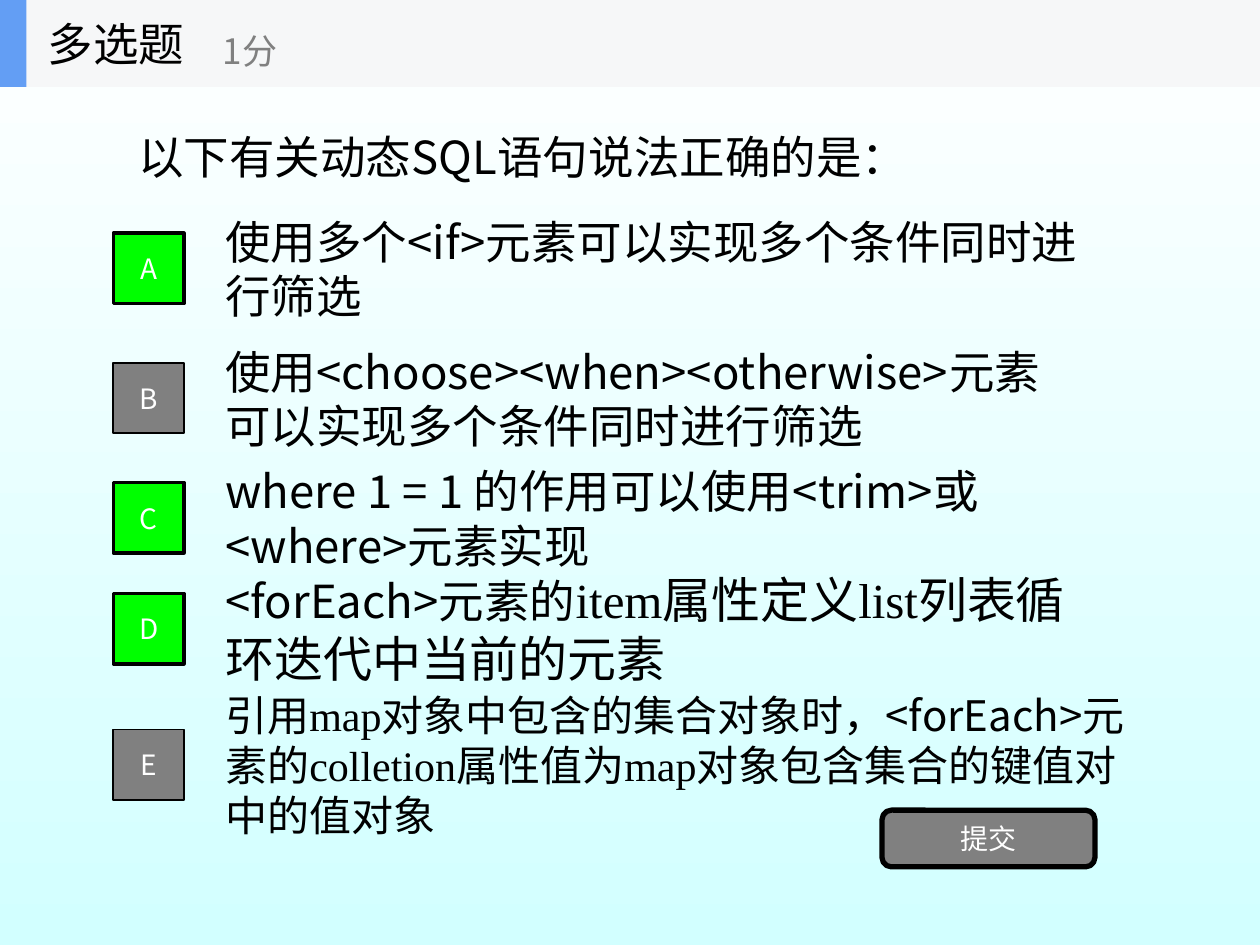
from pptx import Presentation
from pptx.dml.color import RGBColor
from pptx.enum.shapes import MSO_SHAPE
from pptx.enum.text import MSO_ANCHOR, PP_ALIGN
from pptx.oxml.ns import qn
from pptx.util import Inches, Pt
from lxml import etree

RECT = MSO_SHAPE.RECTANGLE
ROUND = MSO_SHAPE.ROUNDED_RECTANGLE
MIDDLE = MSO_ANCHOR.MIDDLE
LEFT, CENTER = PP_ALIGN.LEFT, PP_ALIGN.CENTER

BLACK = RGBColor(0x00, 0x00, 0x00)
WHITE = RGBColor(0xFF, 0xFF, 0xFF)
GRAY = RGBColor(0x80, 0x80, 0x80)
GREEN = RGBColor(0x00, 0xFF, 0x00)
CYAN = RGBColor(0xD2, 0xFF, 0xFF)
PALE = RGBColor(0xF6, 0xF7, 0xF8)
BLUE = RGBColor(0x63, 0x9E, 0xF4)

SANS = "Noto Sans CJK SC"
SERIF = "Times New Roman"

TITLE = "多选题"
SCORE = "1分"
STEM = "以下有关动态SQL语句说法正确的是："
SUBMIT = "提交"
OPTIONS = [
    ("A", True, 1.78, 7, [("使用多个<if>元素可以实现多个条件同时进行筛选", 26, SANS)]),
    ("B", False, 2.81, 7, [("使用<choose><when><otherwise>元素可以实现多个条件同时进行筛选", 26, SANS)]),
    ("C", True, 3.76, 7, [("where 1 = 1 的作用可以使用<trim>或<where>元素实现", 26, SANS)]),
    ("D", True, 4.64, 7, [("<forEach>元素的", 26, SANS),
                          ("item属性定义list列表循环迭代中当前的元素", 28, SERIF)]),
    ("E", False, 5.72, 7.57, [("引用map对象中包含的集合对象时，", 24, SERIF),
                              ("<forEach>元素的", 24, SANS),
                              ("colletion属性值为map对象包含集合的键值对中的值对象", 24, SERIF)]),
]
ROW, MARK = 0.7, 0.56
HEAD = 0.69


def write(shape, runs, color, align=LEFT):
    frame = shape.text_frame
    frame.word_wrap = True
    frame.vertical_anchor = MIDDLE
    para = frame.paragraphs[0]
    para.alignment = align
    for text, size, face in runs:
        run = para.add_run()
        run.text = text
        run.font.size = Pt(size)
        run.font.name = face
        run.font.color.rgb = color
        east = etree.SubElement(run.font._element, qn("a:ea"))
        east.set("typeface", SANS)


def label(slide, box, runs, color=BLACK):
    write(slide.shapes.add_textbox(*map(Inches, box)), runs, color)


def block(slide, kind, box, fill, line=0, text=""):
    shape = slide.shapes.add_shape(kind, *map(Inches, box))
    shape.shadow.inherit = False
    shape.fill.solid()
    shape.fill.fore_color.rgb = fill
    if line:
        shape.line.color.rgb = BLACK
        shape.line.width = Pt(line)
    else:
        shape.line.fill.background()
    if text:
        write(shape, [(text, 16, SANS)], WHITE, CENTER)


def main():
    deck = Presentation()
    deck.slide_width, deck.slide_height = Inches(10), Inches(7.5)
    slide = deck.slides.add_slide(deck.slide_layouts[6])

    back = slide.background.fill
    back.gradient()
    back.gradient_angle = 270
    for stop, color in zip(back.gradient_stops, (WHITE, CYAN)):
        stop.color.rgb = color

    label(slide, (1, 0.07, 8, 2.34), [(STEM, 26, SANS)])
    block(slide, ROUND, (7, 6.43, 1.69, 0.45), GRAY, 3, SUBMIT)
    for name, right, top, width, runs in OPTIONS:
        label(slide, (1.69, top, width, ROW), runs)
        box = (0.9, top + (ROW - MARK) / 2, MARK, MARK)
        block(slide, RECT, box, GREEN if right else GRAY, 2 if right else 1, name)

    block(slide, RECT, (0, 0, 10, HEAD), PALE)
    block(slide, RECT, (0, 0, 0.21, HEAD), BLUE)
    label(slide, (0.28, 0, 2.08, HEAD), [(TITLE, 26, SANS)])
    label(slide, (1.67, 0.12, 2.5, 0.56), [(SCORE, 20, SANS)], GRAY)
    deck.save("out.pptx")


if __name__ == "__main__":
    main()
